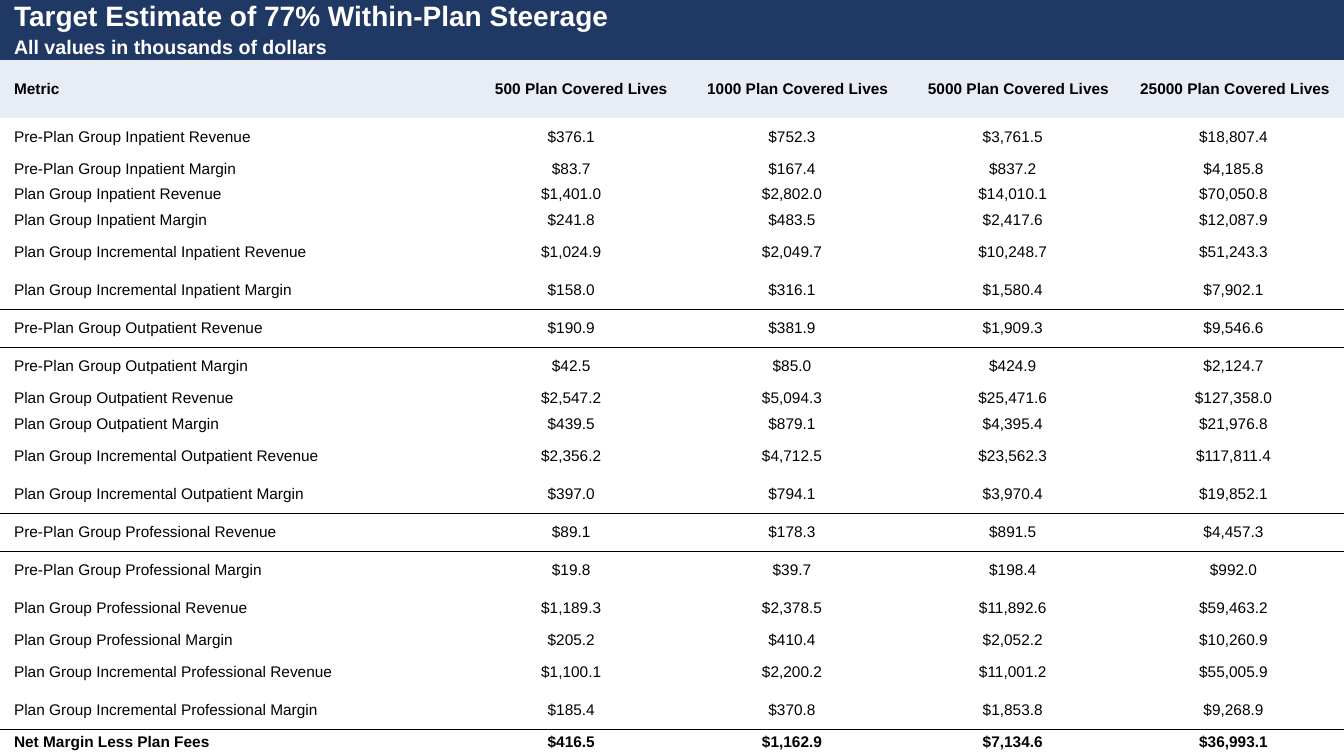
import itertools
import pptx
import pptx.dml.color
import pptx.enum.text
import pptx.oxml
import pptx.oxml.ns
import pptx.util

Pt = pptx.util.Pt
ALIGN = pptx.enum.text.PP_ALIGN
WIDE, HIGH = 960, 540
FIRST = 329.2  # width of the metric column
INDENT = 10
TALL, LOW = 27.2, 18.5
PLAIN = "{2D5ABB26-0587-4C30-8999-92F81FD0307C}"  # style with no grid or fill

TITLES = [("Target Estimate of 77% Within-Plan Steerage", 20, 24.5),
          ("All values in thousands of dollars", 14, LOW)]
HEADS = ["Metric"] + [f"{lives} Plan Covered Lives" for lives in (500, 1000, 5000, 25000)]
HEAD = 41.1

# Each row: its height, then a value for each number of lives
GROUPS = {
    "Inpatient": [
        (TALL, "$376.1", "$752.3", "$3,761.5", "$18,807.4"),
        (LOW, "$83.7", "$167.4", "$837.2", "$4,185.8"),
        (LOW, "$1,401.0", "$2,802.0", "$14,010.1", "$70,050.8"),
        (LOW, "$241.8", "$483.5", "$2,417.6", "$12,087.9"),
        (TALL, "$1,024.9", "$2,049.7", "$10,248.7", "$51,243.3"),
        (TALL, "$158.0", "$316.1", "$1,580.4", "$7,902.1"),
    ],
    "Outpatient": [
        (TALL, "$190.9", "$381.9", "$1,909.3", "$9,546.6"),
        (TALL, "$42.5", "$85.0", "$424.9", "$2,124.7"),
        (LOW, "$2,547.2", "$5,094.3", "$25,471.6", "$127,358.0"),
        (LOW, "$439.5", "$879.1", "$4,395.4", "$21,976.8"),
        (TALL, "$2,356.2", "$4,712.5", "$23,562.3", "$117,811.4"),
        (TALL, "$397.0", "$794.1", "$3,970.4", "$19,852.1"),
    ],
    "Professional": [
        (TALL, "$89.1", "$178.3", "$891.5", "$4,457.3"),
        (TALL, "$19.8", "$39.7", "$198.4", "$992.0"),
        (TALL, "$1,189.3", "$2,378.5", "$11,892.6", "$59,463.2"),
        (LOW, "$205.2", "$410.4", "$2,052.2", "$10,260.9"),
        (TALL, "$1,100.1", "$2,200.2", "$11,001.2", "$55,005.9"),
        (TALL, "$185.4", "$370.8", "$1,853.8", "$9,268.9"),
    ],
}
NET = ["Net Margin Less Plan Fees", "$416.5", "$1,162.9", "$7,134.6", "$36,993.1"]


def paint(target, code):
    target.rgb = pptx.dml.color.RGBColor.from_string(code)


def rule(cell, side):
    """Draw a black line on the top (T) or bottom (B) of a cell."""
    space = pptx.oxml.ns.nsdecls("a")
    cell._tc.get_or_add_tcPr().append(pptx.oxml.parse_xml(
        f'<a:ln{side} {space} w="{Pt(1)}"><a:solidFill><a:srgbClr val="000000"/>'
        f'</a:solidFill></a:ln{side}>'))


def write(cell, text, size=11, bold=False, ink="000000", fill=None, align=ALIGN.LEFT):
    cell.margin_left = cell.margin_right = cell.margin_top = cell.margin_bottom = 0
    cell.vertical_anchor = pptx.enum.text.MSO_ANCHOR.MIDDLE
    if fill:
        cell.fill.solid()
        paint(cell.fill.fore_color, fill)
    else:
        cell.fill.background()
    cell.text = text
    para = cell.text_frame.paragraphs[0]
    props = para._p.get_or_add_pPr()
    for side in ("marL", "marR"):
        props.set(side, str(Pt(INDENT)))
    para.alignment = align
    font = para.font
    font.name, font.size, font.bold = "Arial", Pt(size), bold
    paint(font.color, ink)


def fill_row(row, texts, align, **look):
    for num, (cell, text) in enumerate(zip(row.cells, texts)):
        write(cell, text, align=align if num else ALIGN.LEFT, **look)


def metrics():
    """List the height and texts of each metric row."""
    stages = ("Pre-Plan Group", "Plan Group", "Plan Group Incremental")
    rows = []
    for group, lines in GROUPS.items():
        names = itertools.product(stages, ("Revenue", "Margin"))
        for (stage, kind), (height, *values) in zip(names, lines):
            rows.append((height, [f"{stage} {group} {kind}", *values]))
    return rows


def add_grid(slide, left, top, width, height):
    body = metrics()
    tops = [size for _, _, size in TITLES]
    sizes = tops + [HEAD] + [size for size, _ in body] + [LOW]
    table = slide.shapes.add_table(len(sizes), len(HEADS), Pt(left), Pt(top),
                                   Pt(width), Pt(height)).table
    table.first_row = table.horz_banding = False
    table._tbl.tblPr.find(pptx.oxml.ns.qn("a:tableStyleId")).text = PLAIN
    for num, col in enumerate(table.columns):
        col.width = Pt((width - FIRST) / (len(HEADS) - 1) if num else FIRST)
    rows = list(table.rows)
    for row, size in zip(rows, sizes):
        row.height = Pt(size)

    # Lines below each group of metrics
    start = len(TITLES) + 1
    end = start
    for lines in GROUPS.values():
        end += len(lines)
        for row, side in ((end - 1, "B"), (end, "T")):
            for cell in rows[row].cells:
                rule(cell, side)

    # Title bands
    for num, (text, size, _) in enumerate(TITLES):
        table.cell(num, 0).merge(table.cell(num, len(HEADS) - 1))
        write(table.cell(num, 0), text, size, True, "FFFFFF", "203864")

    # Column heads, metrics and net margin
    fill_row(rows[start - 1], HEADS, ALIGN.RIGHT, bold=True, fill="E7ECF5")
    for row, (_, texts) in zip(rows[start:], body):
        fill_row(row, texts, ALIGN.CENTER)
    fill_row(rows[-1], NET, ALIGN.CENTER, bold=True)


def main():
    deck = pptx.Presentation()
    deck.slide_width, deck.slide_height = Pt(WIDE), Pt(HIGH)
    slide = deck.slides.add_slide(deck.slide_layouts[6])
    add_grid(slide, 0, 0, WIDE, HIGH)
    deck.save("out.pptx")


if __name__ == "__main__":
    main()
